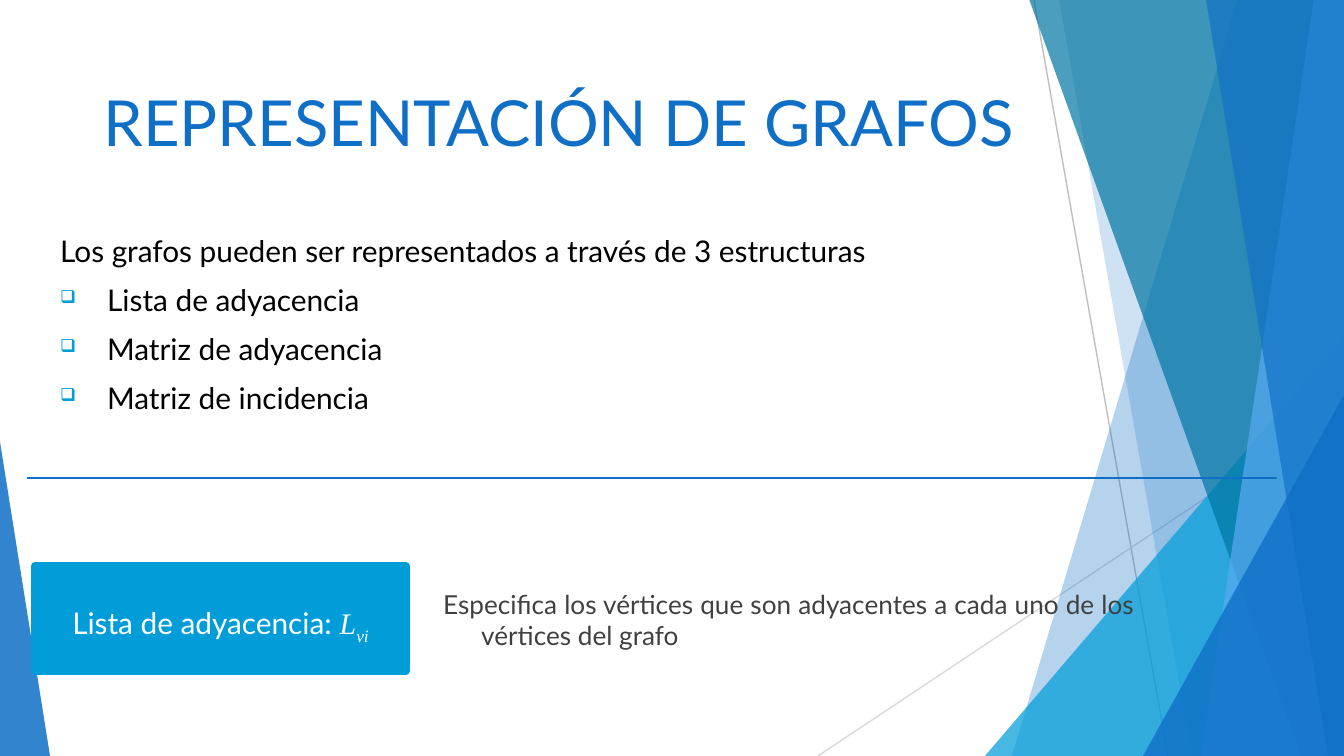
from pptx import Presentation
from pptx import util as u
from pptx.dml.color import RGBColor
from pptx.enum import shapes, text
from pptx.oxml.ns import qn
from lxml import etree

SCALE = 914400 / 134.4
WIDTH, HEIGHT = 1344, 756
BLUE = RGBColor(0x0F, 0x6F, 0xC6)
CYAN = RGBColor(0x00, 0x9D, 0xD9)
TEAL = RGBColor(0x00, 0x76, 0xA3)
SKY = RGBColor(0x59, 0xAA, 0xF2)
DARK = RGBColor(0x40, 0x40, 0x40)
GREY = RGBColor(0xBF, 0xBF, 0xBF)
PALE = RGBColor(0xD9, 0xD9, 0xD9)
BLACK = RGBColor(0, 0, 0)
WHITE = RGBColor(0xFF, 0xFF, 0xFF)


def px(value):
    return u.Emu(round(value * SCALE))


class Deck:
    """Hold the style and the current slide, and draw each kind of element."""

    font = "Lato"
    math_font = "Times New Roman"

    def __init__(self):
        self.presentation = Presentation()
        self.presentation.slide_width = px(WIDTH)
        self.presentation.slide_height = px(HEIGHT)
        self.slide = self.presentation.slides.add_slide(self.presentation.slide_layouts[5])

    def paint(self, shape, color, opacity=100):
        shape.shadow.inherit = False
        shape.line.fill.background()
        shape.fill.solid()
        shape.fill.fore_color.rgb = color
        if opacity < 100:
            fill = shape.element.spPr.find(qn("a:solidFill"))
            etree.SubElement(fill[0], qn("a:alpha"), val=str(opacity * 1000))

    def band(self, top_x, bottom_x, color, opacity):
        builder = self.slide.shapes.build_freeform(top_x, -1, scale=SCALE)
        builder.add_line_segments([(WIDTH, -1), (WIDTH, HEIGHT), (bottom_x, HEIGHT)])
        self.paint(builder.convert_to_shape(), color, opacity)

    def triangle(self, left, top, width, apex, color, opacity):
        shape = self.slide.shapes.add_shape(
            shapes.MSO_SHAPE.ISOSCELES_TRIANGLE, px(left), px(top), px(width), px(HEIGHT - top))
        shape.adjustments[0] = apex
        self.paint(shape, color, opacity)

    def line(self, x1, y1, x2, y2, color, width):
        connector = self.slide.shapes.add_connector(
            shapes.MSO_CONNECTOR.STRAIGHT, px(x1), px(y1), px(x2), px(y2))
        connector.line.color.rgb = color
        connector.line.width = u.Pt(width)
        etree.SubElement(connector.element.spPr, qn("a:effectLst"))

    def style(self, paragraph, size, color):
        for run in paragraph.runs:
            run.font.name = self.font
            run.font.size = u.Pt(size)
            run.font.color.rgb = color

    def title(self, content, left, top, width, height):
        shape = self.slide.shapes.title
        shape.element.getparent().append(shape.element)
        shape.left, shape.top, shape.width, shape.height = map(px, (left, top, width, height))
        frame = shape.text_frame
        frame.text = content
        frame.auto_size = text.MSO_AUTO_SIZE.NONE
        frame.vertical_anchor = text.MSO_ANCHOR.BOTTOM
        paragraph = frame.paragraphs[0]
        paragraph.alignment = text.PP_ALIGN.LEFT
        self.style(paragraph, 34, BLUE)

    def bullet(self, paragraph):
        properties = paragraph._p.get_or_add_pPr()
        color = etree.SubElement(properties, qn("a:buClr"))
        etree.SubElement(color, qn("a:srgbClr"), val=str(CYAN))
        etree.SubElement(properties, qn("a:buSzPct"), val="60000")
        etree.SubElement(properties, qn("a:buChar"), char="❑")

    def text(self, lines, left, top, width, height, size, color, indent, before):
        box = self.slide.shapes.add_textbox(px(left), px(top), px(width), px(height))
        frame = box.text_frame
        frame.word_wrap = True
        frame.vertical_anchor = text.MSO_ANCHOR.MIDDLE
        frame.text = "\n".join(lines)
        for index, paragraph in enumerate(frame.paragraphs):
            paragraph.alignment = text.PP_ALIGN.JUSTIFY
            paragraph.space_before = u.Pt(before)
            properties = paragraph._p.get_or_add_pPr()
            properties.set("marL", str(px(indent)))
            properties.set("indent", str(-px(indent)))
            if index:
                self.bullet(paragraph)
            self.style(paragraph, size, color)

    def label(self, content, symbol, subscript, left, top, width, height):
        shape = self.slide.shapes.add_shape(
            shapes.MSO_SHAPE.RECTANGLE, px(left), px(top), px(width), px(height))
        self.paint(shape, CYAN)
        shape.line.color.rgb = CYAN
        shape.line.width = u.Pt(4)
        frame = shape.text_frame
        frame.word_wrap = True
        frame.vertical_anchor = text.MSO_ANCHOR.MIDDLE
        frame.margin_left = frame.margin_right = px(20)
        frame.margin_top, frame.margin_bottom = px(27), px(13)
        paragraph = frame.paragraphs[0]
        paragraph.alignment = text.PP_ALIGN.CENTER
        for part in (content, symbol, subscript):
            paragraph.add_run().text = part
        self.style(paragraph, 16, WHITE)
        for run in paragraph.runs[1:]:
            run.font.name = self.math_font
            run.font.italic = True
        paragraph.runs[2].font._element.set("baseline", "-25000")


deck = Deck()
deck.line(1034, 0, 1168, HEIGHT, GREY, 0.75)
deck.line(WIDTH, 406, 818, HEIGHT, PALE, 0.75)
deck.band(1238, 1012, BLUE, 30)
deck.band(1059, 1192, BLUE, 20)
deck.triangle(985, 336, 359, 1, CYAN, 72)
for band in ((1029, 1301, TEAL, 70), (1314, 1201, SKY, 70), (1206, 1328, BLUE, 65)):
    deck.band(*band)
deck.triangle(1143, 395, 201, 1, BLUE, 80)
deck.triangle(0, 442, 50, 0, BLUE, 85)

deck.title("REPRESENTACIÓN DE GRAFOS", 90, 11, 1187, 155)
deck.text(["Especifica los vértices que son adyacentes a cada uno de los vértices del grafo"],
          430, 567, 718, 105, 14, DARK, 38, 7.5)
deck.text(["Los grafos pueden ser representados a través de 3 estructuras",
           "Lista de adyacencia", "Matriz de adyacencia", "Matriz de incidencia"],
          47, 203, 1198, 242, 16, BLACK, 47, 7)
deck.line(27, 478, 1277, 478, BLUE, 1)
deck.label("Lista de adyacencia: ", "L", "vi", 35, 566, 371, 105)
deck.presentation.save("out.pptx")
